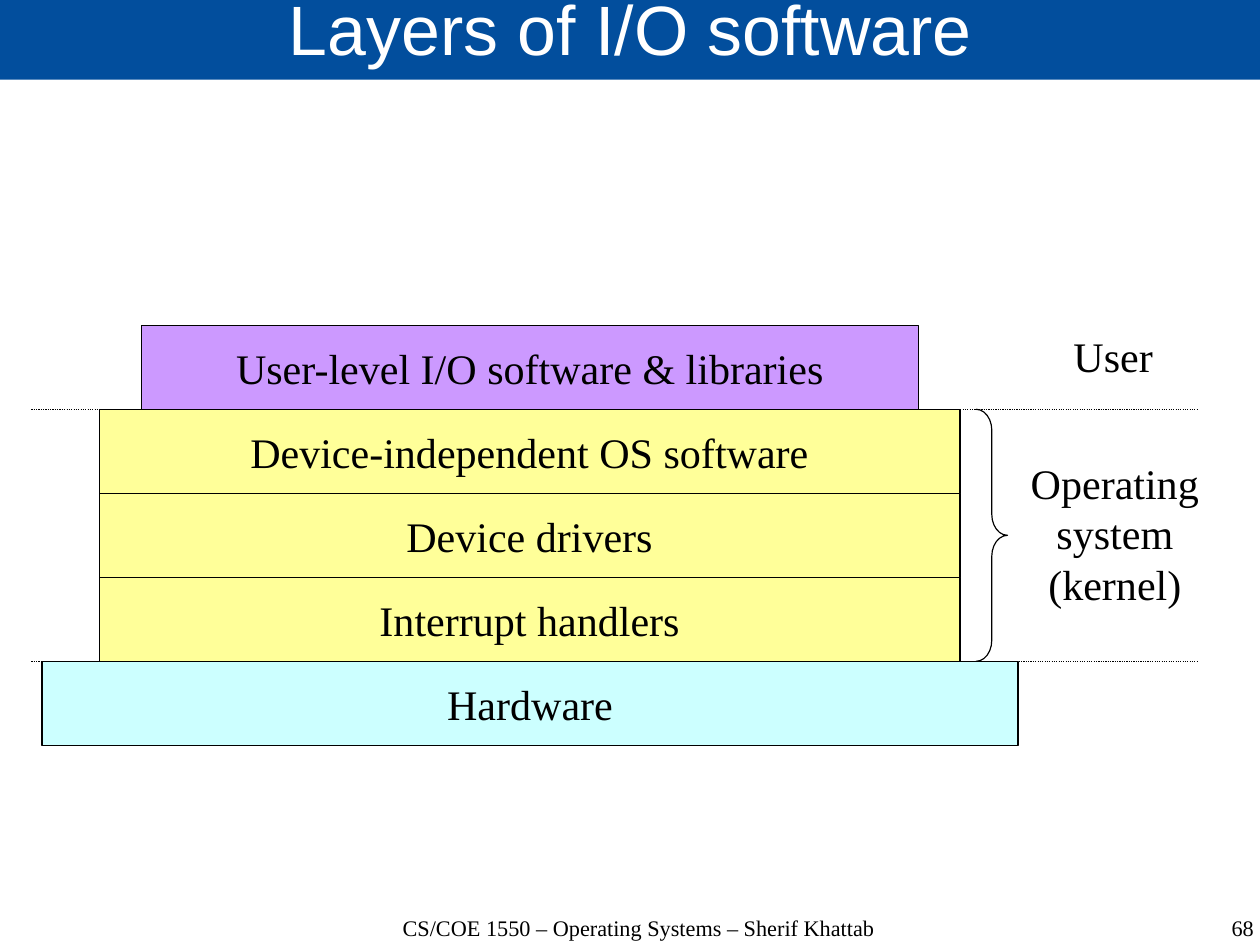
from pptx import Presentation
from pptx.dml.color import RGBColor
from pptx.enum.dml import MSO_LINE
from pptx.enum.shapes import MSO_CONNECTOR, MSO_SHAPE
from pptx.enum.text import MSO_ANCHOR as Anchor, MSO_AUTO_SIZE as AutoSize, PP_ALIGN as Align
from pptx.oxml.ns import qn
from pptx.util import Pt
from lxml.etree import SubElement

BLACK, WHITE, BLUE = "000000", "FFFFFF", "024E9D"
PURPLE, YELLOW, CYAN = "CC99FF", "FFFF99", "CCFFFF"
ROW_HEIGHT = 52.92

# label, left, width, fill
LAYERS = [
    ("User-level I/O software & libraries", 89.2, 489.6, PURPLE),
    ("Device-independent OS software", 62.6, 542.2, YELLOW),
    ("Device drivers", 62.6, 542.2, YELLOW),
    ("Interrupt handlers", 62.6, 542.2, YELLOW),
    ("Hardware", 26.5, 614.9, CYAN),
]


def color(hex_string):
    return RGBColor.from_string(hex_string)


def points(*lengths):
    return [Pt(length) for length in lengths]


def write(shape, text, size=26.5, font="Times New Roman", ink=BLACK, align=Align.CENTER,
          anchor=Anchor.TOP, spacing=None, inset=None, wrap=False):
    frame = shape.text_frame
    frame.auto_size = AutoSize.NONE
    frame.word_wrap = wrap
    frame.vertical_anchor = anchor
    if inset is not None:
        frame.margin_left = frame.margin_right = Pt(inset)
        frame.margin_top = frame.margin_bottom = Pt(inset)
    para = frame.paragraphs[0]
    para.text = text
    para.alignment = align
    if spacing:
        para.line_spacing = spacing
    for span in para.runs:
        span.font.name = font
        span.font.size = Pt(size)
        span.font.color.rgb = color(ink)


def outline(shape):
    shape.line.color.rgb = color(BLACK)
    shape.line.width = Pt(0.75)


def add_title(page, left, top, width, height):
    title = page.shapes.title
    title.left, title.top, title.width, title.height = points(left, top, width, height)
    title.fill.solid()
    title.fill.fore_color.rgb = color(BLUE)
    write(title, "Layers of I/O software", size=44, font="Arial", ink=WHITE,
          anchor=Anchor.MIDDLE, spacing=0.69, inset=0, wrap=True)


def add_text(page, text, left, top, width, height, **style):
    write(page.shapes.add_textbox(*points(left, top, width, height)), text, **style)


def add_footer(page, top, height):
    style = dict(size=14, spacing=0.96, inset=0, wrap=True)
    add_text(page, "CS/COE 1550 – Operating Systems – Sherif Khattab",
             221, top, 362.9, height, **style)
    add_text(page, "68", 607.7, top, 182.2, height, align=Align.RIGHT, **style)


def add_layers(page, top):
    for row, (label, left, width, fill) in enumerate(LAYERS):
        layer = page.shapes.add_shape(
            MSO_SHAPE.RECTANGLE, *points(left, top + row * ROW_HEIGHT, width, ROW_HEIGHT))
        layer.shadow.inherit = False
        layer.fill.solid()
        layer.fill.fore_color.rgb = color(fill)
        outline(layer)
        write(layer, label, anchor=Anchor.MIDDLE)


def add_boundary(page, left, right, y):
    boundary = page.shapes.add_connector(MSO_CONNECTOR.STRAIGHT, *points(left, y, right, y))
    outline(boundary)
    boundary.line.dash_style = MSO_LINE.ROUND_DOT
    SubElement(boundary._element.spPr, qn("a:effectLst"))


def add_modes(page, top):
    """Mark which layers run in user mode and which in the kernel."""
    kernel_top, kernel_bottom = top + ROW_HEIGHT, top + 4 * ROW_HEIGHT
    brace = page.shapes.add_shape(
        MSO_SHAPE.RIGHT_BRACE, *points(614.9, kernel_top, 19.8, kernel_bottom - kernel_top))
    brace.adjustments[0] = 0.667
    brace.shadow.inherit = False
    brace.fill.background()
    outline(brace)
    add_text(page, "Operating\nsystem\n(kernel)", 641.5, kernel_top + 26.5, 121.7, 103.7)
    add_text(page, "User", 668.9, top, 64.8, 39.6)
    for y in (kernel_top, kernel_bottom):
        add_boundary(page, 19.8, 753.9, y)


def main():
    deck = Presentation()
    deck.slide_width, deck.slide_height = points(793.75, 595.25)
    page = deck.slides.add_slide(deck.slide_layouts[5])
    add_title(page, 0, -1.6, 794.9, 51.8)
    add_footer(page, 576.7, 39.6)
    add_layers(page, 204.9)
    add_modes(page, 204.9)
    deck.save("out.pptx")


if __name__ == "__main__":
    main()
